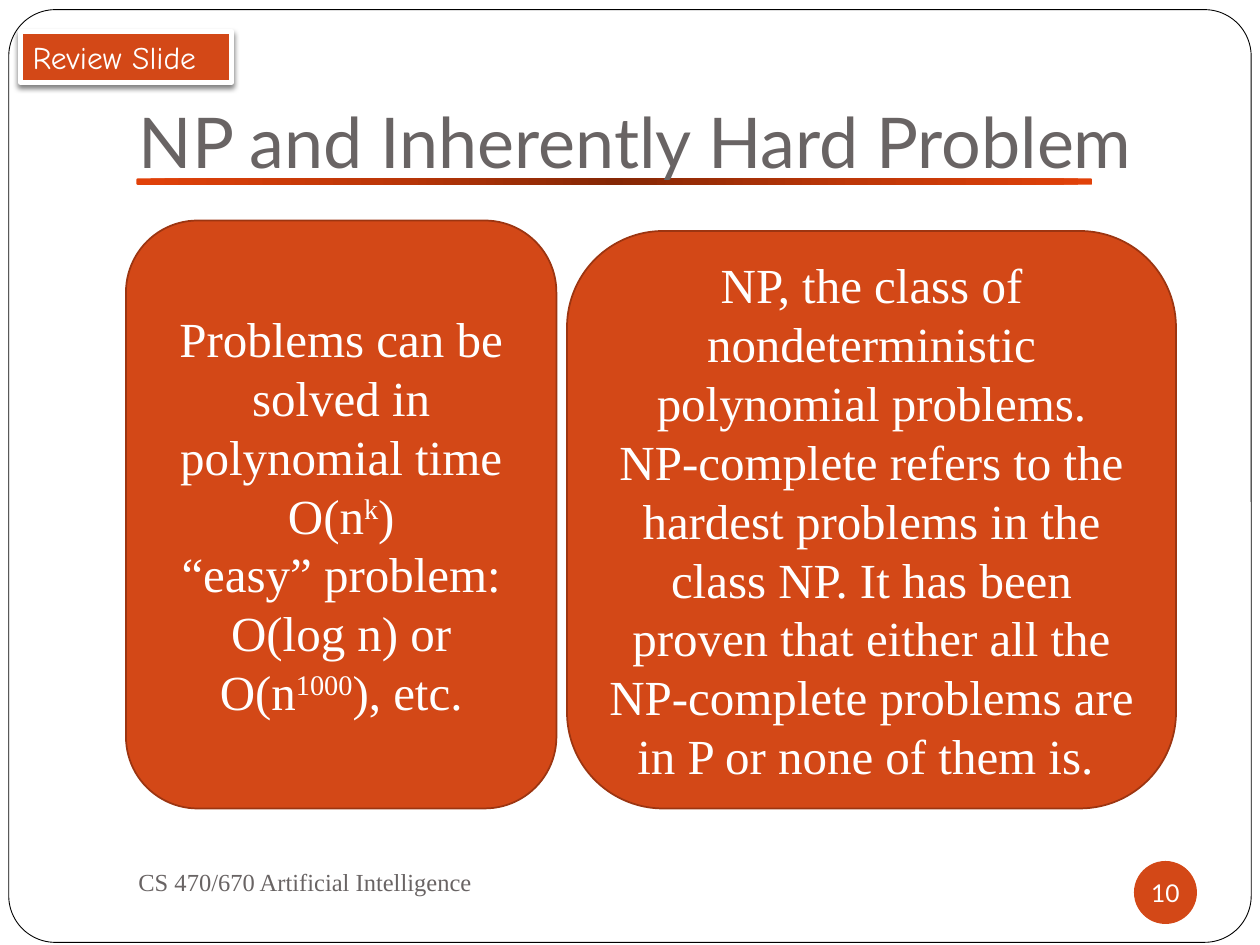
from dataclasses import dataclass

from lxml.etree import SubElement
from pptx import Presentation
from pptx.dml.color import RGBColor
from pptx.enum.shapes import MSO_SHAPE
from pptx.enum.text import MSO_ANCHOR, MSO_AUTO_SIZE, PP_ALIGN
from pptx.oxml import parse_xml
from pptx.oxml.ns import nsdecls, qn
from pptx.util import Pt


@dataclass(frozen=True)
class Theme:
    accent: str = "D34817"
    accent_edge: str = "9C3511"
    grey: str = "696464"
    white: str = "FFFFFF"
    black: str = "000000"
    rule_stops: tuple = ((0, "852705"), (50, "BE3708"), (100, "E14109"))
    sans: str = "Lato"
    serif: str = "Times New Roman"
    comic: str = "Comic Neue"
    title_size: int = 40
    body_size: int = 28
    label_size: int = 18
    small_size: int = 14


THEME = Theme()

TITLE = "NP and Inherently Hard Problem"
FOOTER = "CS 470/670 Artificial Intelligence"
PAGE_NUMBER = "10"
LABEL = "Review Slide"

# Each paragraph is a list of pieces; every second piece is superscript.
CARDS = [
    ((72, 126, 246, 336), [
        ["Problems can be solved in polynomial time"],
        ["O(n", "k", ")"],
        ["“easy” problem: O(log n) or O(n", "1000", "), etc."],
    ]),
    ((324, 132, 348, 330), [
        ["NP, the class of nondeterministic polynomial problems."],
        ["NP-complete refers to the hardest problems in the class NP. "
         "It has been proven that either all the NP-complete problems "
         "are in P or none of them is. "],
    ]),
]


def color(value):
    return RGBColor.from_string(value)


def add_shape(slide, kind, box, fill=None, line=None, line_width=1):
    shape = slide.shapes.add_shape(kind, *map(Pt, box))
    shape.shadow.inherit = False
    if fill:
        shape.fill.solid()
        shape.fill.fore_color.rgb = color(fill)
    if line:
        shape.line.color.rgb = color(line)
        shape.line.width = Pt(line_width)
    else:
        shape.line.fill.background()
    return shape


def write(shape, paragraphs, font, size, ink, align=PP_ALIGN.LEFT,
          anchor=MSO_ANCHOR.MIDDLE, wrap=True):
    frame = shape.text_frame
    frame.word_wrap = wrap
    frame.vertical_anchor = anchor
    for index, pieces in enumerate(paragraphs):
        para = frame.add_paragraph() if index else frame.paragraphs[0]
        para.alignment = align
        for position, piece in enumerate(pieces):
            span = para.add_run()
            span.text = piece
            span.font.name = font
            span.font.size = Pt(size)
            span.font.color.rgb = color(ink)
            if position % 2:
                span.font._element.set("baseline", "30000")
    return frame


def set_margins(frame, left, top, right, bottom):
    frame.margin_left, frame.margin_top = Pt(left), Pt(top)
    frame.margin_right, frame.margin_bottom = Pt(right), Pt(bottom)


def fill_from_center(shape, stops):
    """Give the shape a circular gradient that starts at its middle."""
    stop_xml = "".join(
        f'<a:gs pos="{place * 1000}"><a:srgbClr val="{value}"/></a:gs>'
        for place, value in stops)
    gradient = parse_xml(
        f'<a:gradFill {nsdecls("a")}><a:gsLst>{stop_xml}</a:gsLst>'
        '<a:path path="circle"><a:fillToRect l="50000" t="50000" '
        'r="50000" b="50000"/></a:path></a:gradFill>')
    shape.element.spPr.find(qn("a:prstGeom")).addnext(gradient)


def add_shadow(shape, blur, distance, angle, opacity):
    effects = shape.element.spPr.find(qn("a:effectLst"))
    shadow = SubElement(effects, qn("a:outerShdw"), blurRad=str(Pt(blur)),
                        dist=str(Pt(distance)), dir=str(angle * 60000),
                        rotWithShape="0")
    ink = SubElement(shadow, qn("a:srgbClr"), val=THEME.black)
    SubElement(ink, qn("a:alpha"), val=str(opacity * 1000))


def add_backdrop(slide):
    frame = add_shape(slide, MSO_SHAPE.ROUNDED_RECTANGLE, (5, 5.5, 710, 533),
                      THEME.white, THEME.black, 0.5)
    frame.adjustments[0] = 0.05
    rule = add_shape(slide, MSO_SHAPE.ROUNDED_RECTANGLE, (78, 102, 546, 3.6))
    fill_from_center(rule, THEME.rule_stops)
    for shape in (frame, rule):
        slide.shapes.title.element.addprevious(shape.element)


def add_title(slide):
    title = slide.shapes.title
    title.left, title.top, title.width, title.height = map(
        Pt, (72, 21.6, 612, 90))
    frame = write(title, [[TITLE]], THEME.sans, THEME.title_size, THEME.grey,
                  anchor=MSO_ANCHOR.BOTTOM)
    frame.auto_size = MSO_AUTO_SIZE.NONE
    set_margins(frame, 7.2, 3.6, 7.2, 7.2)


def add_footer(slide):
    footer = slide.shapes.add_textbox(*map(Pt, (72, 486, 312, 36)))
    write(footer, [[FOOTER]], THEME.serif, THEME.small_size, THEME.grey)
    badge = add_shape(slide, MSO_SHAPE.OVAL, (648, 492, 36, 36), THEME.accent)
    frame = write(badge, [[PAGE_NUMBER]], THEME.sans, THEME.small_size,
                  THEME.white, PP_ALIGN.CENTER, wrap=False)
    set_margins(frame, 0, 0, 0, 0)


def add_cards(slide):
    for box, paragraphs in CARDS:
        card = add_shape(slide, MSO_SHAPE.ROUNDED_RECTANGLE, box,
                         THEME.accent, THEME.accent_edge)
        write(card, paragraphs, THEME.serif, THEME.body_size, THEME.white,
              PP_ALIGN.CENTER)


def add_label(slide):
    label = add_shape(slide, MSO_SHAPE.RECTANGLE, (11.5, 18, 121, 29),
                      THEME.accent, THEME.white, 3)
    add_shadow(label, blur=3, distance=2, angle=90, opacity=50)
    frame = write(label, [[LABEL]], THEME.comic, THEME.label_size,
                  THEME.white, anchor=MSO_ANCHOR.TOP, wrap=False)
    frame.auto_size = MSO_AUTO_SIZE.SHAPE_TO_FIT_TEXT


def main():
    deck = Presentation()
    deck.slide_width, deck.slide_height = Pt(720), Pt(540)
    slide = deck.slides.add_slide(deck.slide_layouts[5])
    add_backdrop(slide)
    add_title(slide)
    add_footer(slide)
    add_cards(slide)
    add_label(slide)
    deck.save("out.pptx")


if __name__ == "__main__":
    main()
